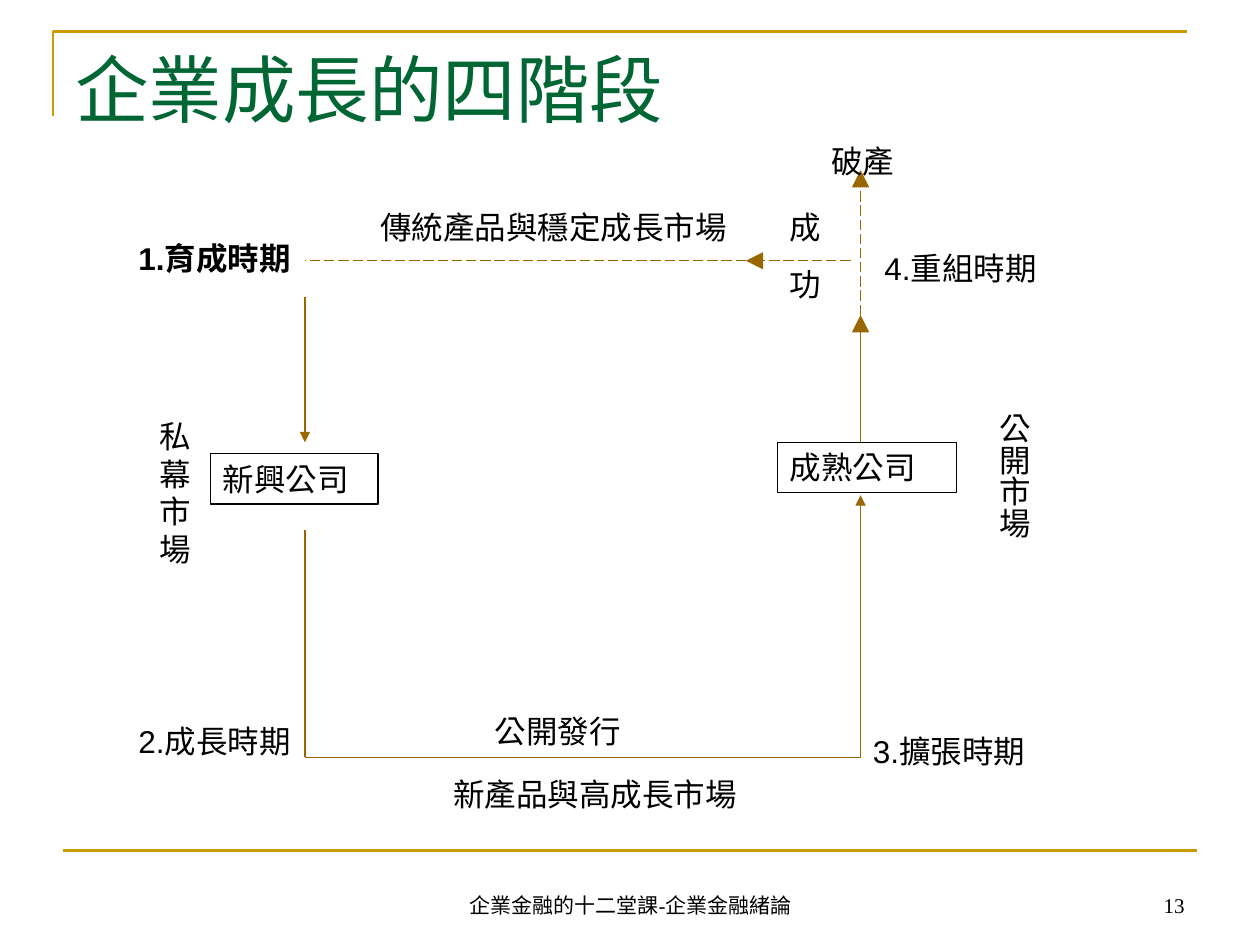
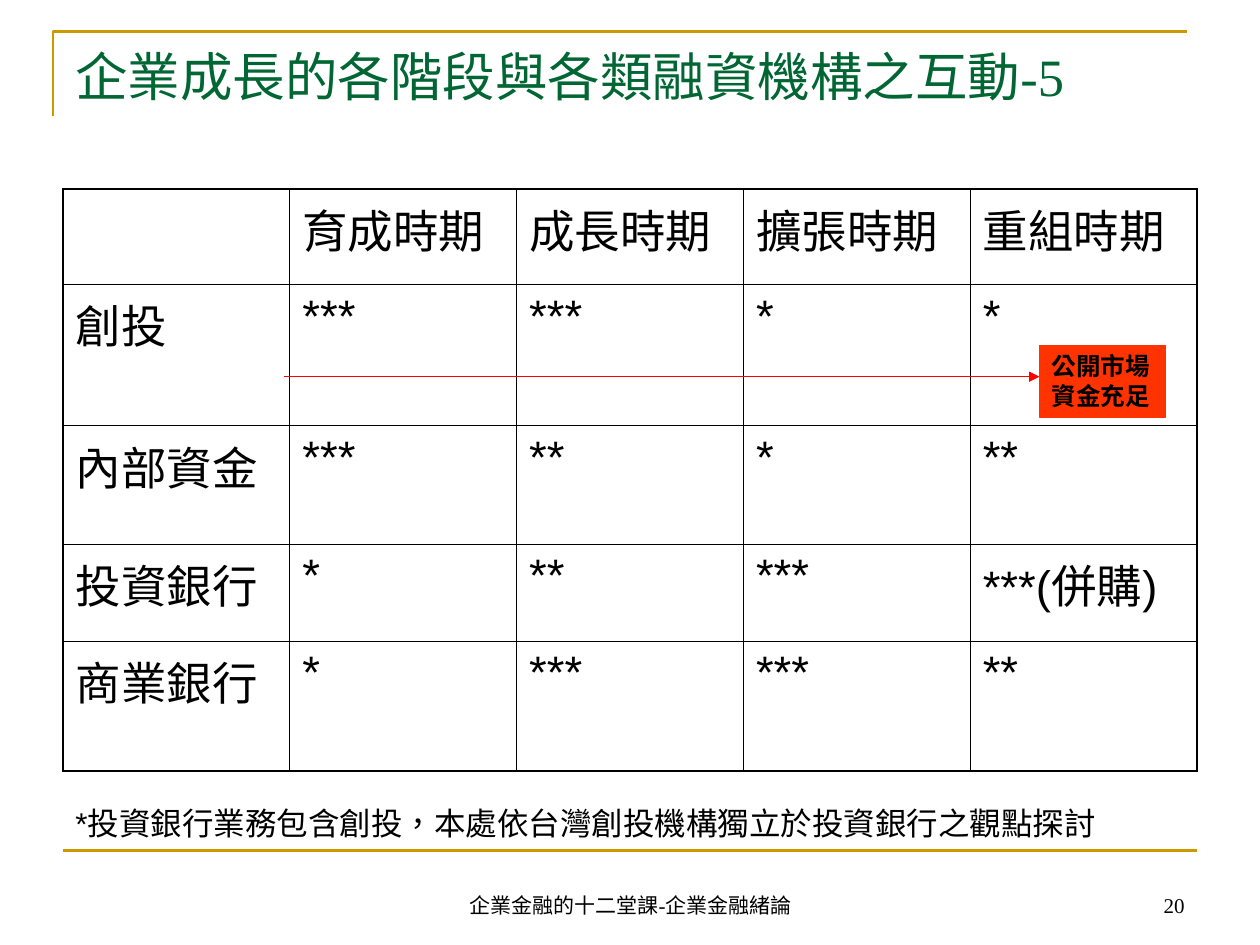
from dataclasses import dataclass
from typing import Any, Optional

import pptx
import pptx.dml.color
import pptx.enum.dml
import pptx.enum.lang
import pptx.enum.shapes
import pptx.enum.text
import pptx.oxml
import pptx.oxml.ns
import pptx.util
from lxml import etree

Inches = pptx.util.Inches
Pt = pptx.util.Pt
RGBColor = pptx.dml.color.RGBColor
Align = pptx.enum.text.PP_ALIGN
Anchor = pptx.enum.text.MSO_ANCHOR
AutoSize = pptx.enum.text.MSO_AUTO_SIZE
qn = pptx.oxml.ns.qn

BLACK = RGBColor(0x00, 0x00, 0x00)
WHITE = RGBColor(0xFF, 0xFF, 0xFF)
GOLD = RGBColor(0xCC, 0x99, 0x00)
BROWN = RGBColor(0x99, 0x66, 0x00)
GREEN = RGBColor(0x00, 0x66, 0x33)
RED = RGBColor(0xFF, 0x00, 0x00)
ORANGE_RED = RGBColor(0xFF, 0x33, 0x00)

SERIF = "Times New Roman"
SANS = "Arial"
FOOTER = "企業金融的十二堂課-企業金融緒論"
CYCLE_LEFT, CYCLE_RIGHT = 2.42, 6.83
CYCLE_TOP, CYCLE_BOTTOM = 2.07, 6.01


@dataclass(frozen=True)
class Label:
    text: str
    left: float
    top: float
    width: float
    height: float = 0.4
    size: float = 18
    font: str = SANS
    color: RGBColor = BLACK
    bold: bool = False
    align: Align = Align.LEFT
    anchor: Anchor = Anchor.TOP
    grows: bool = True
    vertical: bool = False
    fill: Optional[RGBColor] = None
    outline: Optional[RGBColor] = None


@dataclass(frozen=True)
class Arrow:
    x1: float
    y1: float
    x2: float
    y2: float
    color: RGBColor = BROWN
    width: float = 0.75
    head: Optional[str] = None
    dashed: bool = False


STAGE_LABELS = [
    Label("破產", 6.5, 1.08, 1.17),
    Label("成熟公司", 6.17, 3.51, 1.42, outline=BLACK),
    Label("新興公司", 1.67, 3.6, 1.33, fill=WHITE, outline=BLACK),
    Label("1.育成時期", 1, 1.85, 1.42, 0.7, bold=True),
    Label("2.成長時期", 1, 5.68, 1.5),
    Label("3.擴張時期", 6.83, 5.76, 1.5),
    Label("4.重組時期", 6.92, 1.93, 1.92),
    Label("成\n功", 6.17, 1.6, 0.67, 1.32),
    Label("私幕市場", 1.17, 3.26, 0.67, 1.3),
    Label("公開市場", 7.75, 3.18, 0.5, 1.67, vertical=True),
    Label("新產品與高成長市場", 3.5, 6.1, 2.83),
    Label("傳統產品與穩定成長市場", 2.92, 1.6, 3),
    Label("公開發行", 3.83, 5.6, 1.83),
]

CYCLE_ARROWS = [
    Arrow(CYCLE_RIGHT, CYCLE_BOTTOM, CYCLE_RIGHT, 3.93, head="med"),
    Arrow(CYCLE_LEFT, 4.21, CYCLE_LEFT, CYCLE_BOTTOM),
    Arrow(CYCLE_LEFT, CYCLE_BOTTOM, CYCLE_RIGHT, CYCLE_BOTTOM),
    Arrow(CYCLE_LEFT, 2.36, CYCLE_LEFT, 3.51, head="med"),
    Arrow(CYCLE_RIGHT, 3.51, CYCLE_RIGHT, 2.5, head="lg"),
    Arrow(5.92, CYCLE_TOP, CYCLE_LEFT, CYCLE_TOP, dashed=True),
    Arrow(6.75, CYCLE_TOP, 5.92, CYCLE_TOP, head="lg", dashed=True),
    Arrow(CYCLE_RIGHT, 2.5, CYCLE_RIGHT, 1.35, head="lg", dashed=True),
]

FUNDING_ROWS = [
    ("", "育成時期", "成長時期", "擴張時期", "重組時期"),
    ("創投", "***", "***", "*", "*"),
    ("內部資金", "***", "**", "*", "**"),
    ("投資銀行", "*", "**", "***", "***(併購)"),
    ("商業銀行", "*", "***", "***", "**"),
]
FUNDING_HEIGHTS = [0.76, 1.12, 0.94, 0.77, 1.03]
FUNDING_COLUMN_WIDTH = 1.8


def set_values(target: Any, values: dict[str, Any]) -> None:
    for attribute, value in values.items():
        setattr(target, attribute, value)


def write_text(frame: Any, label: Label) -> None:
    frame.text = label.text
    for index, paragraph in enumerate(frame.paragraphs):
        paragraph.alignment = label.align
        if index:
            paragraph.space_before = Pt(11.2)
        for run in paragraph.runs:
            set_values(run.font, {
                "name": label.font,
                "size": Pt(label.size),
                "bold": label.bold,
                "language_id": pptx.enum.lang.MSO_LANGUAGE_ID.TRADITIONAL_CHINESE,
            })
            run.font.color.rgb = label.color


def draw_label(slide: Any, label: Label) -> None:
    place = [Inches(v) for v in (label.left, label.top, label.width, label.height)]
    if label.outline is None:
        box = slide.shapes.add_textbox(*place)
    else:
        box = slide.shapes.add_shape(pptx.enum.shapes.MSO_SHAPE.RECTANGLE, *place)
        box.shadow.inherit = False
        box.line.color.rgb = label.outline
        box.line.width = Pt(0.75)
        if label.fill is None:
            box.fill.background()
        else:
            box.fill.solid()
            box.fill.fore_color.rgb = label.fill
    side, end = (0.05, 0.1) if label.vertical else (0.1, 0.05)
    set_values(box.text_frame, {
        "word_wrap": True,
        "auto_size": AutoSize.SHAPE_TO_FIT_TEXT if label.grows else AutoSize.NONE,
        "vertical_anchor": label.anchor,
        "margin_left": Inches(side),
        "margin_right": Inches(side),
        "margin_top": Inches(end),
        "margin_bottom": Inches(end),
    })
    if label.vertical:
        box._element.txBody.find(qn("a:bodyPr")).set("vert", "eaVert")
    write_text(box.text_frame, label)


def draw_arrow(slide: Any, arrow: Arrow) -> None:
    ends = [Inches(v) for v in (arrow.x1, arrow.y1, arrow.x2, arrow.y2)]
    connector = slide.shapes.add_connector(
        pptx.enum.shapes.MSO_CONNECTOR.STRAIGHT, *ends)
    connector.line.color.rgb = arrow.color
    connector.line.width = Pt(arrow.width)
    if arrow.dashed:
        connector.line.dash_style = pptx.enum.dml.MSO_LINE.LONG_DASH
    properties = connector._element.spPr
    if arrow.head:
        etree.SubElement(properties.find(qn("a:ln")), qn("a:tailEnd"),
                         type="triangle", w=arrow.head, len=arrow.head)
    etree.SubElement(properties, qn("a:effectLst"))


def add_framed_slide(deck: Any, title: str, title_size: float, number: int) -> Any:
    slide = deck.slides.add_slide(deck.slide_layouts[6])
    builder = slide.shapes.build_freeform(Inches(0.42), Inches(0.92))
    builder.add_line_segments(
        [(Inches(0.42), Inches(0.25)), (Inches(9.42), Inches(0.25))], close=False)
    corner = builder.convert_to_shape()
    corner.shadow.inherit = False
    corner.fill.background()
    corner.line.color.rgb = GOLD
    corner.line.width = Pt(1.5)
    draw_arrow(slide, Arrow(0.5, 6.75, 9.5, 6.75, GOLD, 1.5))
    footer = {"size": 12, "font": SERIF, "anchor": Anchor.BOTTOM, "grows": False}
    draw_label(slide, Label(FOOTER, 3.42, 6.83, 3.17, 0.5, align=Align.CENTER, **footer))
    draw_label(slide, Label(str(number), 7.17, 6.83, 2.33, 0.5, align=Align.RIGHT, **footer))
    draw_label(slide, Label(title, 0.5, 0.3, 9, 1.25, title_size, SERIF, GREEN, grows=False))
    return slide


def add_border(cell: Any, side: str, width: float) -> None:
    line = etree.SubElement(cell._tc.get_or_add_tcPr(), qn(f"a:ln{side}"),
                            w=str(Pt(width)))
    paint = etree.SubElement(line, qn("a:solidFill"))
    etree.SubElement(paint, qn("a:srgbClr"), val=str(BLACK))


def draw_funding_table(slide: Any) -> None:
    row_count, column_count = len(FUNDING_ROWS), len(FUNDING_ROWS[0])
    table = slide.shapes.add_table(
        row_count, column_count, Inches(0.5), Inches(1.5),
        Inches(FUNDING_COLUMN_WIDTH * column_count), Inches(sum(FUNDING_HEIGHTS))).table
    set_values(table, {"first_row": False, "horz_banding": False})
    for column in table.columns:
        column.width = Inches(FUNDING_COLUMN_WIDTH)
    for r, (texts, height) in enumerate(zip(FUNDING_ROWS, FUNDING_HEIGHTS)):
        table.rows[r].height = Inches(height)
        for c, text in enumerate(texts):
            cell = table.cell(r, c)
            outer_sides = {"L": c == 0, "R": c == column_count - 1,
                           "T": r == 0, "B": r == row_count - 1}
            for side, is_outer in outer_sides.items():
                add_border(cell, side, 1.08 if is_outer else 0.45)
            cell.fill.background()
            write_text(cell.text_frame, Label(text, 0, 0, 0, size=26))


def build_growth_cycle(deck: Any) -> None:
    slide = add_framed_slide(deck, "企業成長的四階段", 42, 13)
    for arrow in CYCLE_ARROWS:
        draw_arrow(slide, arrow)
    for label in STAGE_LABELS:
        draw_label(slide, label)


def build_funding_interaction(deck: Any) -> None:
    slide = add_framed_slide(deck, "企業成長的各階段與各類融資機構之互動-5", 30, 20)
    draw_funding_table(slide)
    draw_label(slide, Label(
        "*投資銀行業務包含創投，本處依台灣創投機構獨立於投資銀行之觀點探討", 0.5, 6.33, 9))
    draw_arrow(slide, Arrow(2.25, 2.99, 8.25, 2.99, RED, head="med"))
    draw_label(slide, Label("公開市場資金充足", 8.25, 2.74, 1, 0.57, size=14, bold=True,
                            fill=ORANGE_RED, outline=ORANGE_RED))


def main() -> None:
    deck = pptx.Presentation()
    set_values(deck, {"slide_width": Inches(10), "slide_height": Inches(7.5)})
    build_growth_cycle(deck)
    build_funding_interaction(deck)
    deck.save("out.pptx")


if __name__ == "__main__":
    main()
